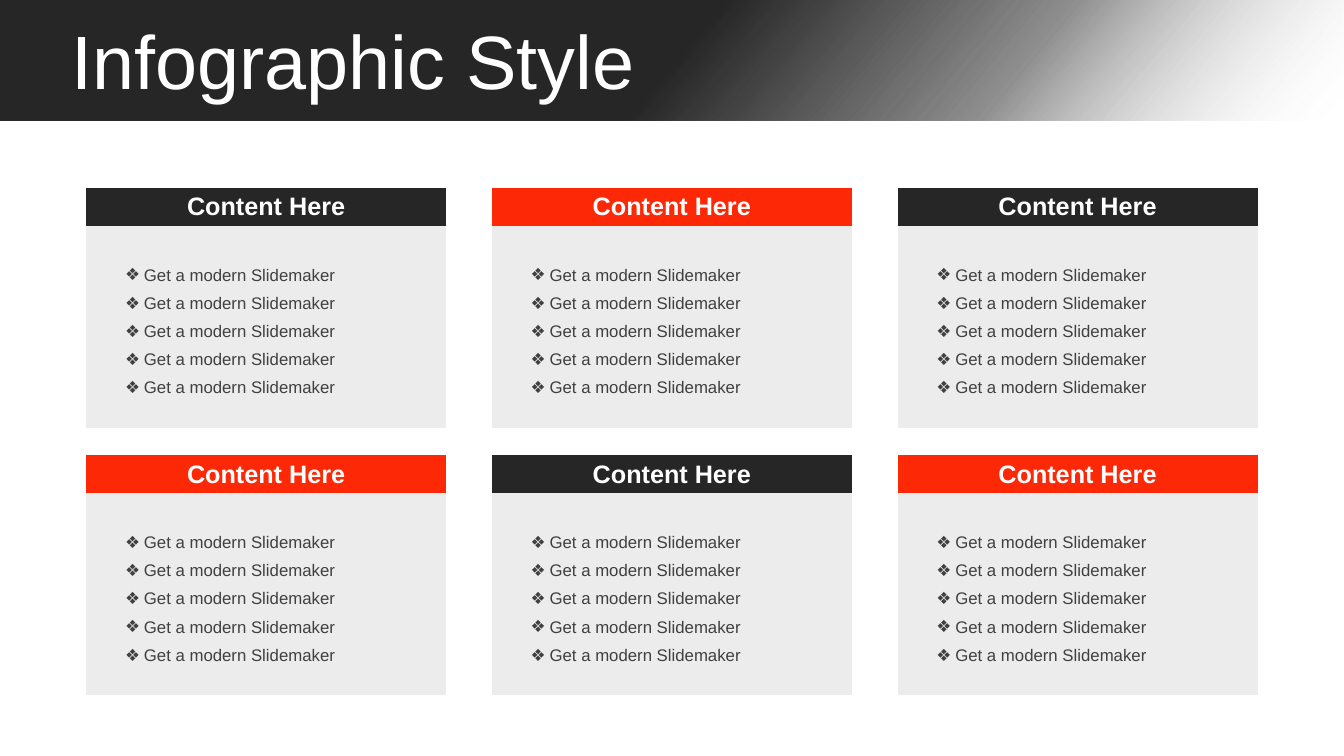
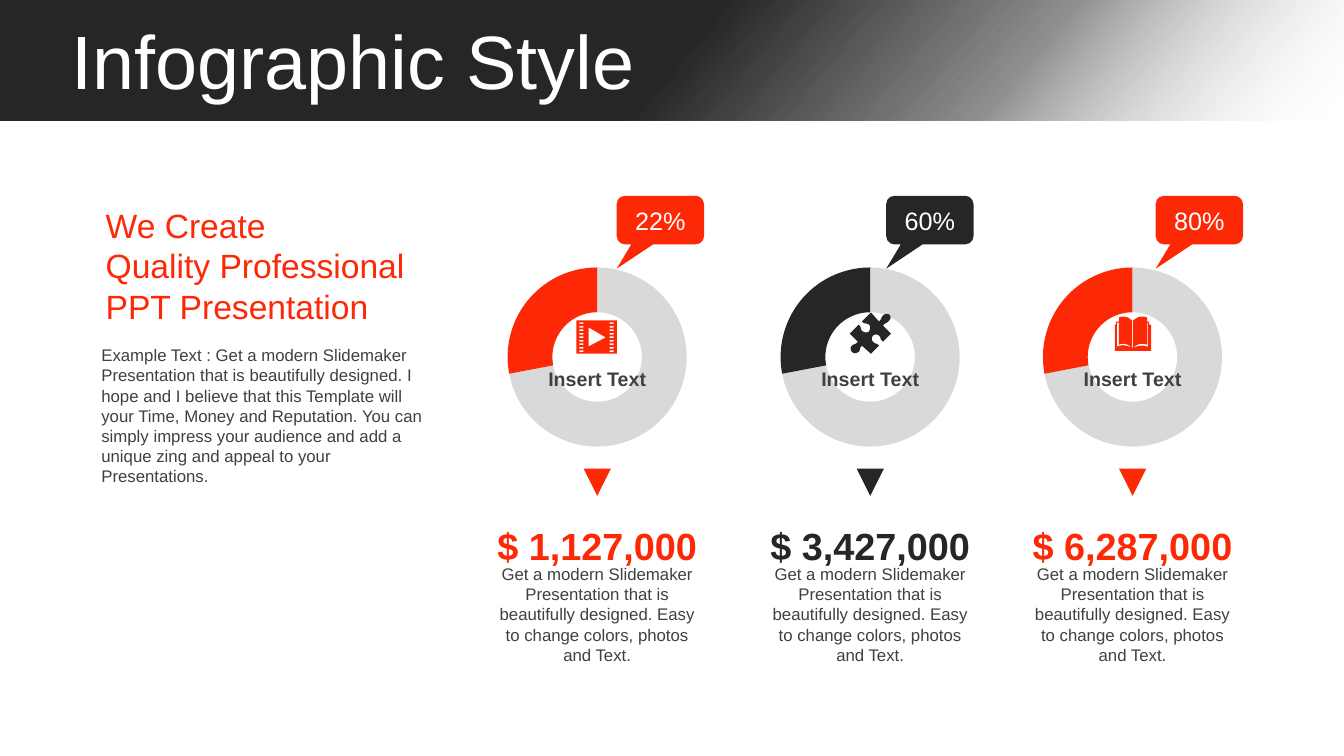
from pptx import Presentation
from pptx.chart.data import CategoryChartData
from pptx.dml.color import RGBColor
from pptx.enum.chart import XL_CHART_TYPE as ChartType
from pptx.enum.shapes import MSO_SHAPE as Preset
from pptx.enum.text import MSO_ANCHOR as Anchor, PP_ALIGN as Align
from pptx.oxml import parse_xml
from pptx.oxml.ns import nsdecls, qn
from pptx.util import Pt

RED = RGBColor(0xFD, 0x29, 0x06)
DARK = RGBColor(0x26, 0x26, 0x26)
TEXT_GREY = RGBColor(0x40, 0x40, 0x40)
RING_GREY = RGBColor(0xD9, 0xD9, 0xD9)
PANEL_GREY = RGBColor(0xEC, 0xEC, 0xEC)
WHITE = RGBColor(0xFF, 0xFF, 0xFF)
FONT = "Arial"
NO_STYLE = "{2D5ABB26-0587-4C30-8999-92F81FD0307C}"
BAND_GRADIENT = f"""
<a:gradFill {nsdecls("a")} rotWithShape="1">
  <a:gsLst>
    <a:gs pos="0"><a:srgbClr val="{WHITE}"><a:alpha val="0"/></a:srgbClr></a:gs>
    <a:gs pos="25000"><a:srgbClr val="{DARK}"><a:alpha val="50000"/></a:srgbClr></a:gs>
    <a:gs pos="50000"><a:srgbClr val="{DARK}"/></a:gs>
    <a:gs pos="100000"><a:srgbClr val="{DARK}"/></a:gs>
  </a:gsLst>
  <a:lin ang="13200000" scaled="0"/>
</a:gradFill>"""


def write(frame, lines, size, color, bold=False, align=Align.LEFT,
          anchor=Anchor.TOP, spacing=None, bullet=None):
    frame.vertical_anchor = anchor
    for index, line in enumerate(lines):
        para = frame.paragraphs[0] if index == 0 else frame.add_paragraph()
        para.text = line
        para.alignment = align
        if spacing:
            para.line_spacing = spacing
        if bullet:
            properties = para._p.get_or_add_pPr()
            properties.set("marL", str(Pt(13.5)))
            properties.set("indent", str(-Pt(13.5)))
            properties.append(parse_xml(f'<a:buFont {nsdecls("a")} typeface="{FONT}"/>'))
            properties.append(parse_xml(f'<a:buChar {nsdecls("a")} char="{bullet}"/>'))
        para.font.name = FONT
        para.font.size = Pt(size)
        para.font.bold = bold
        para.font.color.rgb = color


def add_text(page, left, top, width, height, lines, size, color, **style):
    box = page.shapes.add_textbox(Pt(left), Pt(top), Pt(width), Pt(height))
    frame = box.text_frame
    frame.word_wrap = True
    frame.margin_left = frame.margin_right = frame.margin_top = frame.margin_bottom = 0
    write(frame, lines, size, color, **style)


deck = Presentation()
deck.slide_width, deck.slide_height = Pt(960), Pt(540)
blank = deck.slide_layouts[6]
for placeholder in list(blank.placeholders):
    placeholder.element.getparent().remove(placeholder.element)
grid_page, chart_page = [deck.slides.add_slide(blank) for _ in range(2)]

band = grid_page.shapes.add_shape(Preset.RECTANGLE, 0, 0, Pt(960), Pt(86.4))
band.shadow.inherit = False
band.line.fill.background()
band.fill.background()
band_properties = band.element.spPr
band_properties.replace(band_properties.find(qn("a:noFill")), parse_xml(BAND_GRADIENT))
blank.shapes.element.append(band.element)

for page in deck.slides:
    add_text(page, 51, 18, 880, 57, ["Infographic Style"], 54, WHITE,
             anchor=Anchor.MIDDLE, spacing=0.9)

for index in range(6):
    row, column = divmod(index, 3)
    holder = grid_page.shapes.add_table(
        5, 3, Pt(61.5 + 289.8 * column), Pt(134.3 + 191 * row), Pt(257.2), Pt(171.4))
    holder.element.find(".//" + qn("a:tableStyleId")).text = NO_STYLE
    table = holder.table
    table.first_row = table.horz_banding = False
    for table_column, width in zip(table.columns, (20.6, 216, 20.6)):
        table_column.width = Pt(width)
    for table_row, height in zip(table.rows, (27, 36.1, 36.1, 36.1, 36.1)):
        table_row.height = Pt(height)
    for cell in table.iter_cells():
        cell.margin_top = cell.margin_bottom = 0
        cell.fill.solid()
        cell.fill.fore_color.rgb = PANEL_GREY
    header, body = table.cell(0, 0), table.cell(1, 1)
    header.merge(table.cell(0, 2))
    body.merge(table.cell(4, 1))
    header.fill.fore_color.rgb = RED if index % 2 else DARK
    write(header.text_frame, ["Content Here"], 18, WHITE, bold=True, align=Align.CENTER)
    write(body.text_frame, ["Get a modern Slidemaker"] * 5, 12, TEXT_GREY,
          spacing=1.5, bullet="❖")
    header.vertical_anchor = body.vertical_anchor = Anchor.MIDDLE

add_text(chart_page, 75.5, 146.3, 237, 87,
         ["We Create", "Quality Professional", "PPT Presentation"], 24, RED)
add_text(chart_page, 72.4, 246.4, 240, 102,
         ["Example Text : Get a modern Slidemaker Presentation that is beautifully "
          "designed. I hope and I believe that this Template will your Time, Money and "
          "Reputation. You can simply impress your audience and add a unique zing and "
          "appeal to your Presentations."], 12, TEXT_GREY)

columns = [(426.6, "22%", "$ 1,127,000", RED),
           (621.6, "60%", "$ 3,427,000", DARK),
           (809, "80%", "$ 6,287,000", RED)]
for index, (center, percent, amount, color) in enumerate(columns):
    data = CategoryChartData()
    data.categories = ["1", "2"]
    data.add_series("Series 1", (72, 28))
    chart = chart_page.shapes.add_chart(
        ChartType.DOUGHNUT, Pt(center - 74.4), Pt(180.7), Pt(148.8), Pt(148.8), data).chart
    chart.has_title = chart.has_legend = False
    chart.font.name = FONT
    chart.font.size = Pt(18)
    chart.font.color.rgb = RGBColor(0, 0, 0)
    plot = chart.plots[0]
    plot.vary_by_categories = True
    for point_index, fill_color in enumerate((RING_GREY, color)):
        look = plot.series[0].points[point_index].format
        look.fill.solid()
        look.fill.fore_color.rgb = fill_color
        look.line.fill.background()
    plot_area = chart.element.find(".//" + qn("c:plotArea"))
    plot_area.find(".//" + qn("c:holeSize")).set("val", "78")
    for old_layout in plot_area.findall(qn("c:layout")):
        plot_area.remove(old_layout)
    plot_area.insert(0, parse_xml(
        f'<c:layout {nsdecls("c")}><c:manualLayout><c:layoutTarget val="inner"/>'
        '<c:xMode val="edge"/><c:yMode val="edge"/><c:x val="0.07"/><c:y val="0.07"/>'
        '<c:w val="0.86"/><c:h val="0.86"/></c:manualLayout></c:layout>'))

    callout = chart_page.shapes.add_shape(
        Preset.ROUNDED_RECTANGULAR_CALLOUT,
        Pt(440.5 + 192.5 * index), Pt(139.9), Pt(62.4), Pt(34.7))
    for adjustment, value in enumerate((-0.5, 1, 0.17)):
        callout.adjustments[adjustment] = value
    write(callout.text_frame, [percent], 18, WHITE,
          align=Align.CENTER, anchor=Anchor.MIDDLE)
    pointer = chart_page.shapes.add_shape(
        Preset.FLOWCHART_EXTRACT, Pt(center - 9.7), Pt(334.8), Pt(19.4), Pt(19.4))
    pointer.rotation = 180
    for shape in (callout, pointer):
        shape.shadow.inherit = False
        shape.fill.solid()
        shape.fill.fore_color.rgb = color
        shape.line.fill.background()

    add_text(chart_page, center - 42.5, 262.3, 85, 17, ["Insert Text"], 14, TEXT_GREY,
             bold=True, align=Align.CENTER)
    add_text(chart_page, center - 75.2, 373.4, 150.4, 32, [amount], 27, color,
             bold=True, align=Align.CENTER)
    add_text(chart_page, center - 75.2, 402.7, 150.4, 73,
             ["Get a modern Slidemaker Presentation that is beautifully designed. "
              "Easy to change colors, photos and Text."], 12, TEXT_GREY, align=Align.CENTER)

film = [[(0, 0), (40, 0), (40, 33), (0, 33)], [(12, 7), (12, 26), (29, 17)]]
for left in (3, 33):
    for row in range(9):
        top = 2 + 3.5 * row
        film.append([(left, top), (left, top + 1.7), (left + 4, top + 1.7), (left + 4, top)])
puzzle = [[
    (39, 2), (41, 4, 41, 6, 39, 8), (37, 11, 35, 10, 33, 13), (41, 21), (33, 29),
    (30, 27, 31, 25, 29, 23), (27, 21, 24, 22, 23, 23), (22, 24, 21, 27, 23, 29),
    (26, 32, 27, 30, 29, 33), (21, 41), (12, 33), (9, 36, 11, 36, 9, 39),
    (6, 41, 4, 41, 2, 39), (1, 38, 0, 35, 2, 33), (4, 31, 6, 32, 8, 29), (0, 21),
    (9, 12), (12, 15, 10, 17, 13, 19), (15, 20, 17, 20, 19, 19),
    (20, 17, 21, 14, 19, 12), (16, 10, 15, 12, 12, 9), (21, 0), (29, 9),
    (32, 6, 31, 5, 33, 3), (35, 1, 38, 1, 39, 2)]]
book = [[
    (17, 31), (18, 31), (24, 29, 27, 28, 33, 30), (33, 6), (32, 6), (32, 28),
    (27, 26, 23, 27, 18, 31), (18, 4), (21, 2, 23, 0, 27, 0), (28, 0, 30, 0, 32, 1),
    (32, 5), (34, 5), (34, 8), (36, 8), (36, 34), (0, 34), (0, 8), (1, 8), (1, 5),
    (4, 5), (4, 1), (6, 0, 8, 0, 9, 0), (12, 0, 15, 2, 17, 4), (17, 31),
    (13, 27, 8, 26, 4, 28), (4, 6), (2, 6), (2, 30), (8, 27, 12, 29, 17, 31)]]

STEPS = 6
for left, top, contours, color in ((411.8, 228.8, film, RED),
                                   (607, 223.2, puzzle, DARK),
                                   (796.3, 226.1, book, RED)):
    builder = None
    for contour in contours:
        points = []
        for segment in contour:
            if len(segment) == 2:
                points.append(segment)
                continue
            x0, y0 = points[-1]
            x1, y1, x2, y2, x3, y3 = segment
            for step in range(1, STEPS + 1):
                t = step / STEPS
                a, b, c, d = (1 - t) ** 3, 3 * t * (1 - t) ** 2, 3 * t * t * (1 - t), t ** 3
                points.append((a * x0 + b * x1 + c * x2 + d * x3,
                               a * y0 + b * y1 + c * y2 + d * y3))
        points = [(10 * x, 10 * y) for x, y in points]
        if builder is None:
            builder = chart_page.shapes.build_freeform(*points[0], scale=Pt(0.072))
        else:
            builder.move_to(*points[0])
        builder.add_line_segments(points[1:], close=True)
    icon = builder.convert_to_shape(Pt(left), Pt(top))
    icon.shadow.inherit = False
    icon.fill.solid()
    icon.fill.fore_color.rgb = color
    icon.line.fill.background()

deck.save("out.pptx")
